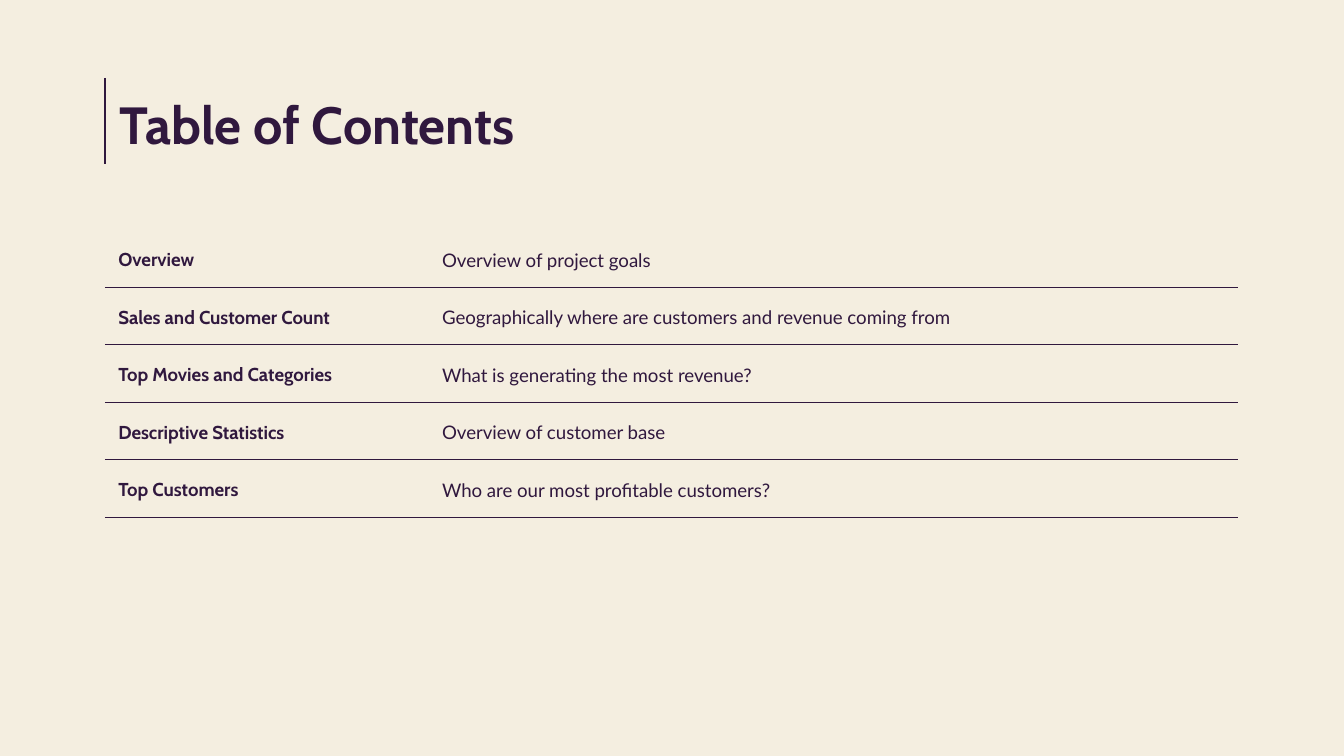
import pptx
import pptx.dml.color
import pptx.enum.shapes
import pptx.enum.text
import pptx.oxml.ns
import pptx.util
from lxml import etree

Inches = pptx.util.Inches
Pt = pptx.util.Pt
qn = pptx.oxml.ns.qn

PLUM = pptx.dml.color.RGBColor(0x30, 0x18, 0x3E)
CREAM = pptx.dml.color.RGBColor(0xF4, 0xEE, 0xE0)
NO_GRID_STYLE = "{2D5ABB26-0587-4C30-8999-92F81FD0307C}"

TITLE = "Table of Contents"
SECTIONS = [
    ("Overview", "Overview of project goals"),
    ("Sales and Customer Count", "Geographically where are customers and revenue coming from"),
    ("Top Movies and Categories", "What is generating the most revenue?"),
    ("Descriptive Statistics", "Overview of customer base"),
    ("Top Customers", "Who are our most profitable customers?"),
    ("", ""),
]
COLUMNS = [(2.41, "Cabin", True), (6.02, "Lato", False)]
SLIDE_WIDTH = 10
SLIDE_HEIGHT = SLIDE_WIDTH * 9 / 16
LEFT, TABLE_TOP, TABLE_HEIGHT = 0.78, 1.71, 2.57
ROW_HEIGHT = TABLE_HEIGHT / len(SECTIONS)
RULE_WIDTH = Pt(0.75)
INSET = Inches(0.1)


def set_font(paragraph, name, size, bold):
    paragraph.font.name = name
    paragraph.font.size = Pt(size)
    paragraph.font.bold = bold
    paragraph.font.color.rgb = PLUM


def set_insets(holder):
    holder.margin_left = holder.margin_right = INSET
    holder.margin_top = holder.margin_bottom = INSET


def add_border(cell, side):
    border = etree.Element(qn(f"a:{side}"), w=str(RULE_WIDTH))
    fill = etree.SubElement(border, qn("a:solidFill"))
    etree.SubElement(fill, qn("a:srgbClr"), val=str(PLUM))
    cell._tc.get_or_add_tcPr().insert(0, border)


def add_title(slide):
    rule = slide.shapes.add_connector(
        pptx.enum.shapes.MSO_CONNECTOR.STRAIGHT,
        Inches(LEFT), Inches(0.58), Inches(LEFT), Inches(1.22))
    rule.line.color.rgb = PLUM
    rule.line.width = RULE_WIDTH
    etree.SubElement(rule._element.spPr, qn("a:effectLst"))

    title = slide.shapes.add_textbox(Inches(0.79), Inches(0.59), Inches(8.43), Inches(0.63))
    frame = title.text_frame
    frame.word_wrap = True
    frame.vertical_anchor = pptx.enum.text.MSO_ANCHOR.TOP
    set_insets(frame)
    frame.text = TITLE
    set_font(frame.paragraphs[0], "Cabin", 28, True)


def add_contents(slide):
    width = sum(column[0] for column in COLUMNS)
    contents = slide.shapes.add_table(
        len(SECTIONS), len(COLUMNS), Inches(LEFT), Inches(TABLE_TOP),
        Inches(width), Inches(TABLE_HEIGHT)).table
    contents.first_row = contents.horz_banding = False
    contents._tbl.tblPr.find(qn("a:tableStyleId")).text = NO_GRID_STYLE

    for column, (column_width, _, _) in zip(contents.columns, COLUMNS):
        column.width = Inches(column_width)
    for row_index, section in enumerate(SECTIONS):
        contents.rows[row_index].height = Inches(ROW_HEIGHT)
        for column_index, (words, (_, font, bold)) in enumerate(zip(section, COLUMNS)):
            cell = contents.cell(row_index, column_index)
            cell.fill.background()
            cell.vertical_anchor = pptx.enum.text.MSO_ANCHOR.MIDDLE
            set_insets(cell)
            cell.text = words
            paragraph = cell.text_frame.paragraphs[0]
            paragraph.line_spacing = 1.15
            set_font(paragraph, font, 10, bold)
            if row_index < len(SECTIONS) - 1:
                add_border(cell, "lnB")
            if row_index > 0:
                add_border(cell, "lnT")


def main():
    deck = pptx.Presentation()
    deck.slide_width, deck.slide_height = Inches(SLIDE_WIDTH), Inches(SLIDE_HEIGHT)
    slide = deck.slides.add_slide(deck.slide_layouts[6])
    slide.background.fill.solid()
    slide.background.fill.fore_color.rgb = CREAM
    add_title(slide)
    add_contents(slide)
    deck.save("out.pptx")


if __name__ == "__main__":
    main()
